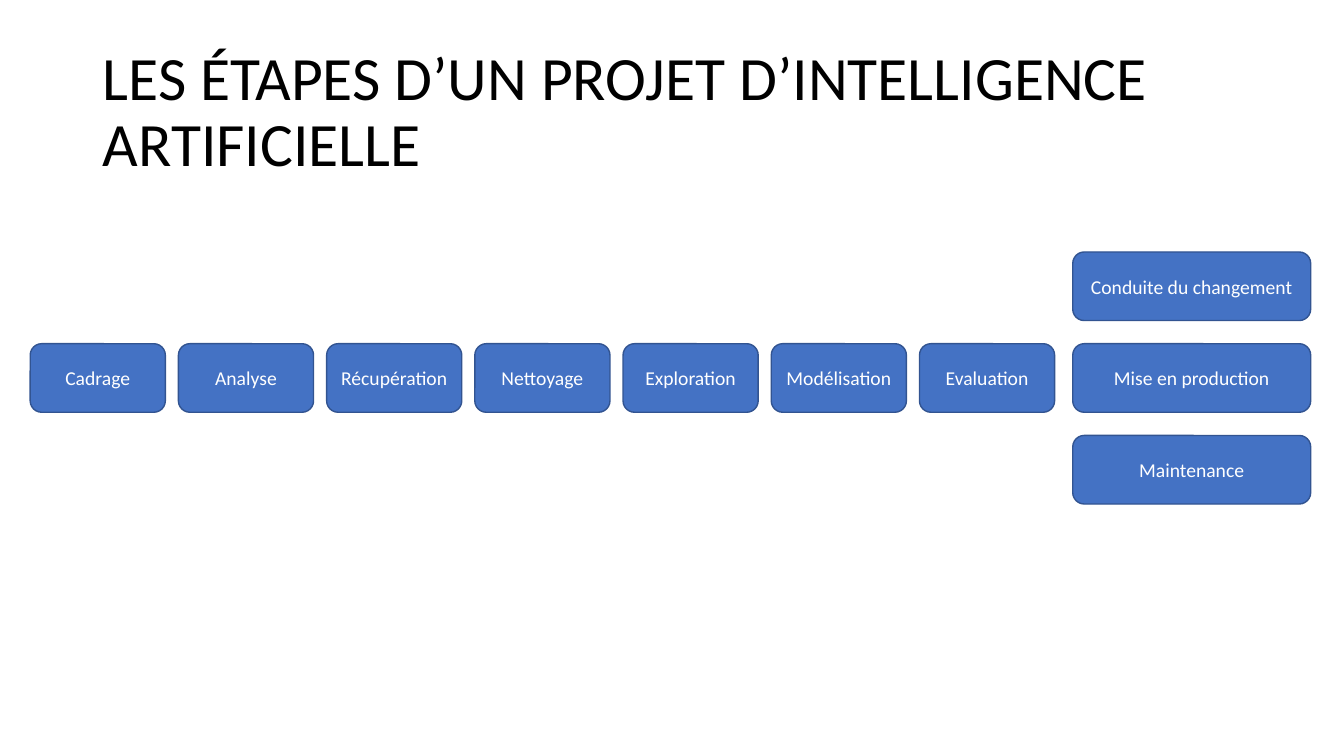
from pptx import Presentation
from pptx.dml.color import RGBColor
from pptx.enum.shapes import MSO_SHAPE
from pptx.enum.text import MSO_ANCHOR, PP_ALIGN
from pptx.util import Inches, Pt

ROUNDED = MSO_SHAPE.ROUNDED_RECTANGLE
MIDDLE = MSO_ANCHOR.MIDDLE
LEFT, CENTER = PP_ALIGN.LEFT, PP_ALIGN.CENTER

COLORS = {"title": "000000", "step": "4472C4", "outline": "325491", "label": "FFFFFF"}

STEPS = ["Cadrage", "Analyse", "Récupération", "Nettoyage",
         "Exploration", "Modélisation", "Evaluation"]
OUTCOMES = ["Conduite du changement", "Mise en production", "Maintenance"]

STEP_LEFT, STEP_PITCH, STEP_WIDTH = 0.3, 1.47, 1.34
OUTCOME_LEFT, OUTCOME_WIDTH = 10.64, 2.36
ROW_TOP, ROW_PITCH, ROW_HEIGHT = 2.5, 0.91, 0.68


class ProcessSlide:
    font_name = "Calibri"

    def __init__(self, deck):
        self.slide = deck.slides.add_slide(deck.slide_layouts[6])

    def color(self, key):
        return RGBColor.from_string(COLORS[key])

    def set_text(self, frame, text, size, color, **paragraph_format):
        frame.word_wrap = True
        frame.vertical_anchor = MIDDLE
        paragraph = frame.paragraphs[0]
        for attribute, value in paragraph_format.items():
            setattr(paragraph, attribute, value)
        run = paragraph.add_run()
        run.text = text
        for attribute, value in {"name": self.font_name, "size": Pt(size)}.items():
            setattr(run.font, attribute, value)
        run.font.color.rgb = self.color(color)

    def title(self, text, left, top, width, height):
        heading = self.slide.shapes.add_textbox(
            Inches(left), Inches(top), Inches(width), Inches(height))
        self.set_text(heading.text_frame, text, 44, "title", alignment=LEFT, line_spacing=0.9)

    def step(self, text, left, top, width):
        card = self.slide.shapes.add_shape(
            ROUNDED, Inches(left), Inches(top), Inches(width), Inches(ROW_HEIGHT))
        card.shadow.inherit = False
        card.fill.solid()
        card.fill.fore_color.rgb = self.color("step")
        card.line.color.rgb = self.color("outline")
        card.line.width = Pt(1)
        self.set_text(card.text_frame, text, 14, "label", alignment=CENTER)


def main():
    deck = Presentation()
    deck.slide_width, deck.slide_height = Inches(13.33), Inches(7.5)
    process = ProcessSlide(deck)
    process.title("LES ÉTAPES D’UN PROJET D’INTELLIGENCE ARTIFICIELLE",
                  0.92, 0.4, 11.5, 1.45)
    for column, step in enumerate(STEPS):
        process.step(step, STEP_LEFT + column * STEP_PITCH, ROW_TOP + ROW_PITCH, STEP_WIDTH)
    for row, outcome in enumerate(OUTCOMES):
        process.step(outcome, OUTCOME_LEFT, ROW_TOP + row * ROW_PITCH, OUTCOME_WIDTH)
    deck.save("out.pptx")


if __name__ == "__main__":
    main()
